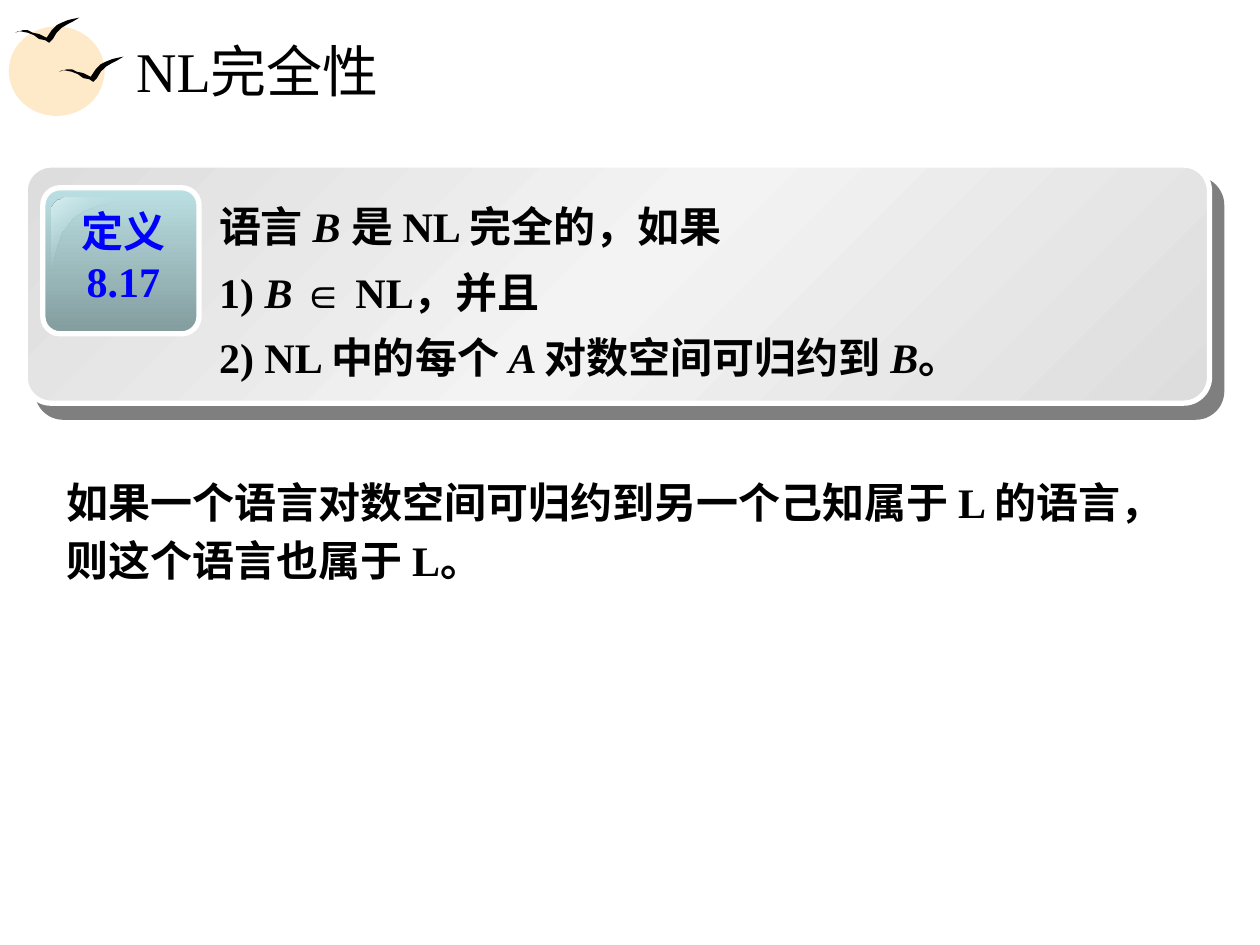
from dataclasses import dataclass

from lxml import etree
from pptx import Presentation
from pptx import util as u
from pptx.dml.color import RGBColor
from pptx.enum import shapes, text
from pptx.oxml import ns


@dataclass(frozen=True)
class Theme:
    font: str = "Times New Roman"
    symbol_font: str = "Arial"
    title_size: int = 32
    body_size: int = 24
    ink: str = "000000"
    label: str = "0000FF"
    sun: str = "FEE9C8"
    border: str = "FFFFFF"
    panel: tuple = ((0, "DDDDDD", 100), (50, "F3F3F3", 100), (100, "DDDDDD", 100))
    badge: tuple = ((0, "BBE0E3", 100), (100, "839C9E", 100))
    gloss: tuple = ((0, "DAEEF0", 100), (50, "BBE0E3", 0), (100, "DAEEF0", 100))


THEME = Theme()

# Outline of one bird, in hundredths of an inch from its box corner
BIRD = [(0, 12), (3, 11), (6, 10), (10, 10), (14, 12), (19, 13), (25, 16),
        (29, 10), (33, 6), (37, 4), (42, 2), (46, 1), (51, 0), (46, 3),
        (42, 5), (37, 8), (33, 12), (30, 17), (28, 19), (27, 20), (24, 18),
        (19, 17), (15, 14), (10, 12), (5, 11), (2, 11)]

STATEMENT = [
    [("语言 ", ""), ("B ", "italic"), ("是 NL 完全的，如果", "")],
    [("1) ", ""), ("B ", "italic"), ("∈", "symbol"), (" NL，并且", "")],
    [("2) NL 中的每个 ", ""), ("A ", "italic"), ("对数空间可归约到 ", ""),
     ("B", "italic"), ("。", "")],
]


def color(value):
    return RGBColor.from_string(value)


def add_color(parent, value, opacity):
    element = etree.SubElement(parent, ns.qn("a:srgbClr"), val=value)
    etree.SubElement(element, ns.qn("a:alpha"), val=str(opacity * 1000))


def fill_solid(shape, value):
    shape.fill.solid()
    shape.fill.fore_color.rgb = color(value)
    shape.line.fill.background()
    shape.shadow.inherit = False


def fill_gradient(shape, stops, angle):
    shape.fill.solid()
    solid = shape._element.spPr.find(ns.qn("a:solidFill"))
    gradient = etree.Element(ns.qn("a:gradFill"), rotWithShape="1")
    stop_list = etree.SubElement(gradient, ns.qn("a:gsLst"))
    for position, value, opacity in stops:
        stop = etree.SubElement(stop_list, ns.qn("a:gs"), pos=str(position * 1000))
        add_color(stop, value, opacity)
    etree.SubElement(gradient, ns.qn("a:lin"), ang=str(angle * 60000), scaled="0")
    solid.getparent().replace(solid, gradient)


def add_drop_shadow(shape):
    effects = shape._element.spPr.find(ns.qn("a:effectLst"))
    shadow = etree.SubElement(
        effects, ns.qn("a:outerShdw"), blurRad="0", dist=str(u.Pt(10.6)),
        dir=str(49 * 60000), algn="ctr", rotWithShape="0")
    add_color(shadow, THEME.ink, 50)


def add_card(parent, box, radius, stops, angle):
    card = parent.add_shape(shapes.MSO_SHAPE.ROUNDED_RECTANGLE, *map(u.Inches, box))
    card.adjustments[0] = radius
    fill_gradient(card, stops, angle)
    card.line.color.rgb = color(THEME.border)
    card.line.width = u.Pt(3)
    card.shadow.inherit = False
    return card


def add_outline(parent, left, top, points):
    """Closed shape from points in hundredths of an inch."""
    builder = parent.build_freeform(*points[0], scale=u.Inches(0.01))
    builder.add_line_segments(points[1:], close=True)
    return builder.convert_to_shape(u.Inches(left), u.Inches(top))


def curve(start, first, second, end, steps=12):
    for step in range(1, steps + 1):
        t = step / steps
        yield tuple(
            (1 - t) ** 3 * a + 3 * (1 - t) ** 2 * t * b
            + 3 * (1 - t) * t ** 2 * c + t ** 3 * d
            for a, b, c, d in zip(start, first, second, end))


def format_run(run, value, size=THEME.body_size, bold=True, style=""):
    run.font.name = THEME.symbol_font if style == "symbol" else THEME.font
    run.font.size = u.Pt(size)
    run.font.bold = bold
    run.font.italic = style == "italic"
    run.font.color.rgb = color(value)


def add_text(parent, box, paragraphs, value=THEME.ink, spaced=True, hanging=0):
    frame = parent.add_textbox(*map(u.Inches, box)).text_frame
    frame.word_wrap = True
    for index, runs in enumerate(paragraphs):
        paragraph = frame.paragraphs[0] if index == 0 else frame.add_paragraph()
        if spaced:
            paragraph.line_spacing = 1.15
            paragraph.space_before = u.Pt(4.5)
        if hanging:
            properties = paragraph._p.get_or_add_pPr()
            properties.set("marL", str(u.Inches(hanging)))
            properties.set("indent", str(-u.Inches(hanging)))
        for words, style in runs:
            run = paragraph.add_run()
            run.text = words
            format_run(run, value, style=style)
    return frame


def add_emblem(slide, left, top):
    # Sun
    for x, y, width, height in [(0, 0.07, 0.76, 0.71), (0.13, 0.14, 0.63, 0.55)]:
        sun = slide.shapes.add_shape(
            shapes.MSO_SHAPE.OVAL,
            *map(u.Inches, (left + x, top + y, width, height)))
        fill_solid(sun, THEME.sun)
    # Birds
    for x, y in [(0.4, 0.31), (0.05, 0)]:
        fill_solid(add_outline(slide.shapes, left + x, top + y, BIRD), THEME.ink)


def add_title(slide, box):
    title = slide.shapes.title
    title.left, title.top, title.width, title.height = map(u.Inches, box)
    frame = title.text_frame
    frame.text = "NL完全性"
    frame.vertical_anchor = text.MSO_ANCHOR.MIDDLE
    frame.paragraphs[0].alignment = text.PP_ALIGN.LEFT
    format_run(frame.paragraphs[0].runs[0], THEME.ink, THEME.title_size, bold=False)


def add_badge(parent, left, top):
    add_card(parent, (left, top, 1.24, 1.16), 0.119, THEME.badge, 90)
    # Gloss in the upper left corner
    points = [(13, 0), *curve((13, 0), (6, 0), (0, 5), (0, 11)), (0, 57),
              *curve((0, 57), (3, 58), (2, 30), (17, 17)),
              *curve((17, 17), (33, 4), (62, 3), (61, 0))]
    gloss = add_outline(parent, left + 0.07, top + 0.08, points)
    fill_gradient(gloss, THEME.gloss, 45)
    gloss.line.fill.background()
    gloss.shadow.inherit = False
    # Label
    frame = add_text(parent, (left + 0.17, top + 0.09, 0.94, 0.9),
                     [[("定义8.17", "")]], THEME.label, spaced=False)
    frame.paragraphs[0].alignment = text.PP_ALIGN.CENTER


def add_definition(slide, box):
    left, top, width, height = box
    group = slide.shapes.add_group_shape().shapes
    add_drop_shadow(add_card(group, box, 0.109, THEME.panel, 45))
    add_badge(group, left + 0.14, top + 0.18)
    add_text(group, (left + 1.44, top + 0.17, width - 1.87, height - 0.28),
             STATEMENT, hanging=0.48)


def main():
    presentation = Presentation()
    presentation.slide_width, presentation.slide_height = u.Inches(10), u.Inches(7.5)
    slide = presentation.slides.add_slide(presentation.slide_layouts[5])
    add_emblem(slide, 0.07, 0.14)
    add_title(slide, (0.98, 0.21, 8.53, 0.69))
    add_definition(slide, (0.2, 1.31, 9.4, 1.89))
    # Consequence
    add_text(slide.shapes, (0.43, 3.67, 9.14, 1.02), [[
        ("如果一个语言对数空间可归约到另一个己知属于 L 的语言，则这个语言也属于 L。", "")]])
    presentation.save("out.pptx")


if __name__ == "__main__":
    main()
